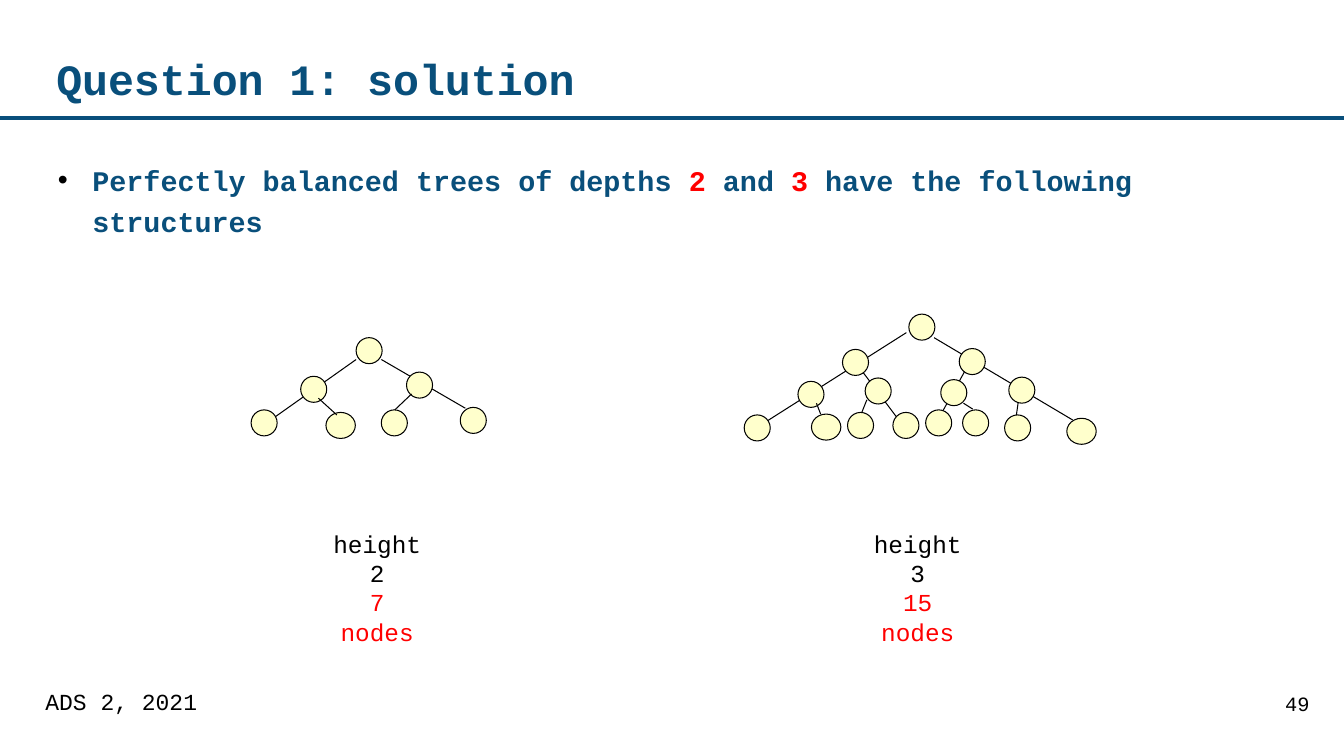
from dataclasses import dataclass
from lxml import etree
from pptx import Presentation, util as u
from pptx.dml.color import RGBColor
from pptx.enum import shapes, text
from pptx.oxml import ns

BLUE = RGBColor(0x09, 0x4F, 0x7B)
RED = RGBColor(0xFF, 0, 0)
BLACK = RGBColor(0, 0, 0)
CREAM = RGBColor(0xFF, 0xFF, 0xCC)
FONT = "Courier New"
COLS, ROWS = 160, 90
NODE, WIDE = 3.1, 3.5

deck = Presentation()
deck.slide_width, deck.slide_height = u.Inches(13.33), u.Inches(7.5)
slide = deck.slides.add_slide(deck.slide_layouts[5])


@dataclass
class Box:
    x: float
    y: float
    w: float
    h: float


@dataclass
class Node:
    x: float
    y: float
    w: float = NODE


@dataclass
class Edge:
    x: float
    y: float
    ex: float
    ey: float


@dataclass
class Tree:
    under: list[Edge]
    nodes: list[Node]
    over: list[Edge]


@dataclass
class Label:
    box: Box
    lines: list[tuple[str, RGBColor]]
    size: float
    align: text.PP_ALIGN
    pad: tuple[float, float] = (1.2, 0.6)
    gap: float = 1
    indent: float = 0


def col(n: float) -> int:
    return round(deck.slide_width * n / COLS)


def row(n: float) -> int:
    return round(deck.slide_height * n / ROWS)


def area(b: Box) -> tuple[int, int, int, int]:
    return col(b.x), row(b.y), col(b.w), row(b.h)


def style(font, size: float, color: RGBColor, bold: bool = False) -> None:
    font.name, font.size, font.bold = FONT, u.Pt(size), bold
    font.color.rgb = color


def frame(shape, pad: tuple[float, float]):
    tf = shape.text_frame
    tf.word_wrap = True
    tf.auto_size = text.MSO_AUTO_SIZE.NONE
    tf.margin_left = tf.margin_right = col(pad[0])
    tf.margin_top = tf.margin_bottom = row(pad[1])
    return tf


def link(home, e: Edge, color: RGBColor = BLACK, width: float = 0.75) -> None:
    line = home.add_connector(shapes.MSO_CONNECTOR.STRAIGHT,
                              col(e.x), row(e.y), col(e.ex), row(e.ey))
    line.line.color.rgb = color
    line.line.width = u.Pt(width)
    etree.SubElement(line._element.spPr, ns.qn("a:effectLst"))


def dot(home, n: Node) -> None:
    oval = home.add_shape(shapes.MSO_SHAPE.OVAL, *area(Box(n.x, n.y, n.w, NODE)))
    oval.shadow.inherit = False
    oval.fill.solid()
    oval.fill.fore_color.rgb = CREAM
    oval.line.color.rgb = BLACK
    oval.line.width = u.Pt(0.75)


def plant(tree: Tree) -> None:
    home = slide.shapes.add_group_shape().shapes
    for e in tree.under:
        link(home, e)
    for n in tree.nodes:
        dot(home, n)
    for e in tree.over:
        link(home, e)


def write(label: Label) -> None:
    tf = frame(slide.shapes.add_textbox(*area(label.box)), label.pad)
    tf.text = "\n".join(words for words, _ in label.lines)
    for para, (_, color) in zip(tf.paragraphs, label.lines):
        para.alignment = label.align
        para.line_spacing = label.gap
        para._p.get_or_add_pPr().set("marL", str(col(label.indent)))
        style(para.runs[0].font, label.size, color)


def head(words: str) -> None:
    title = slide.shapes.title
    title.left, title.top, title.width, title.height = area(Box(6.7, 4, 136.6, 10.3))
    tf = frame(title, (0, 0))
    tf.vertical_anchor = text.MSO_ANCHOR.MIDDLE
    tf.text = words
    para = tf.paragraphs[0]
    para.alignment = text.PP_ALIGN.LEFT
    para.line_spacing = 1.04
    style(para.runs[0].font, 30.9, BLUE, True)


def point(parts: list[tuple[str, RGBColor]]) -> None:
    tf = frame(slide.shapes.add_textbox(*area(Box(6.7, 18.6, 146.6, 61.4))), (0, 0))
    para = tf.paragraphs[0]
    para.line_spacing = 1.2
    props = para._p.get_or_add_pPr()
    props.set("marL", str(col(4.3)))
    props.set("indent", str(-col(4.1)))
    tint = etree.SubElement(props, ns.qn("a:buClr"))
    etree.SubElement(tint, ns.qn("a:srgbClr")).set("val", str(BLACK))
    etree.SubElement(props, ns.qn("a:buFont")).set("typeface", "Arial")
    etree.SubElement(props, ns.qn("a:buChar")).set("char", "•")
    for words, color in parts:
        run = para.add_run()
        run.text = words
        style(run.font, 20.3, color, True)


SMALL = Tree(
    [Edge(45.4, 42.8, 55.4, 48.6), Edge(42.4, 42.8, 32.8, 49.6)],
    [Node(42.4, 40.2), Node(35.8, 44.8), Node(48.4, 44.3), Node(29.9, 48.8),
     Node(38.8, 49.1, WIDE), Node(45.4, 48.8), Node(54.8, 48.5)],
    [Edge(37.9, 47.4, 40.1, 49.4), Edge(49, 46.9, 47, 48.8)])
LARGE = Tree(
    [Edge(114.7, 48, 115.8, 48.7), Edge(103.2, 47.6, 102.6, 49.1),
     Edge(102.8, 44.4, 107, 50), Edge(114.8, 44.3, 112.2, 49),
     Edge(111.2, 40.2, 127.7, 50), Edge(107.9, 39.6, 91.2, 50.2)],
    [Node(108.2, 37.4), Node(100.3, 41.6), Node(114.2, 41.5), Node(95, 45.4),
     Node(96.6, 49.3, WIDE), Node(112, 45.2), Node(120.1, 44.9), Node(88.6, 49.4),
     Node(103, 45), Node(127, 49.8, WIDE), Node(100.9, 49.1), Node(106.3, 49.1),
     Node(110.2, 48.8), Node(114.6, 48.8), Node(119.6, 49.4)],
    [Edge(97.2, 48, 97.7, 49.3), Edge(121.2, 48, 121, 49.4)])
MID = text.PP_ALIGN.CENTER
LABELS = [
    Label(Box(131.5, 81.8, 25.8, 6.2), [("49", BLACK)], 14.5,
          text.PP_ALIGN.RIGHT, (1.4, 0.7), 0.96),
    Label(Box(4.1, 81.8, 101.2, 6.2), [("ADS 2, 2021", BLACK)], 16.4,
          text.PP_ALIGN.LEFT, (1.3, 0.6), 0.82),
    Label(Box(30.4, 62.4, 21.7, 8.3), [("height 2", BLACK), ("7 nodes", RED)],
          17.4, MID, indent=7.3),
    Label(Box(94.1, 62.4, 23, 8.3), [("height 3", BLACK), ("15 nodes", RED)],
          17.4, MID, indent=7.3),
]


def main() -> None:
    link(slide.shapes, Edge(0, 14, COLS, 14), BLUE, 2.75)
    head("Question 1: solution")
    point([("Perfectly balanced trees of depths ", BLUE), ("2", RED), (" and ", BLUE),
           ("3", RED), (" have the following structures", BLUE)])
    for tree in (SMALL, LARGE):
        plant(tree)
    for label in LABELS:
        write(label)
    deck.save("out.pptx")


if __name__ == "__main__":
    main()
